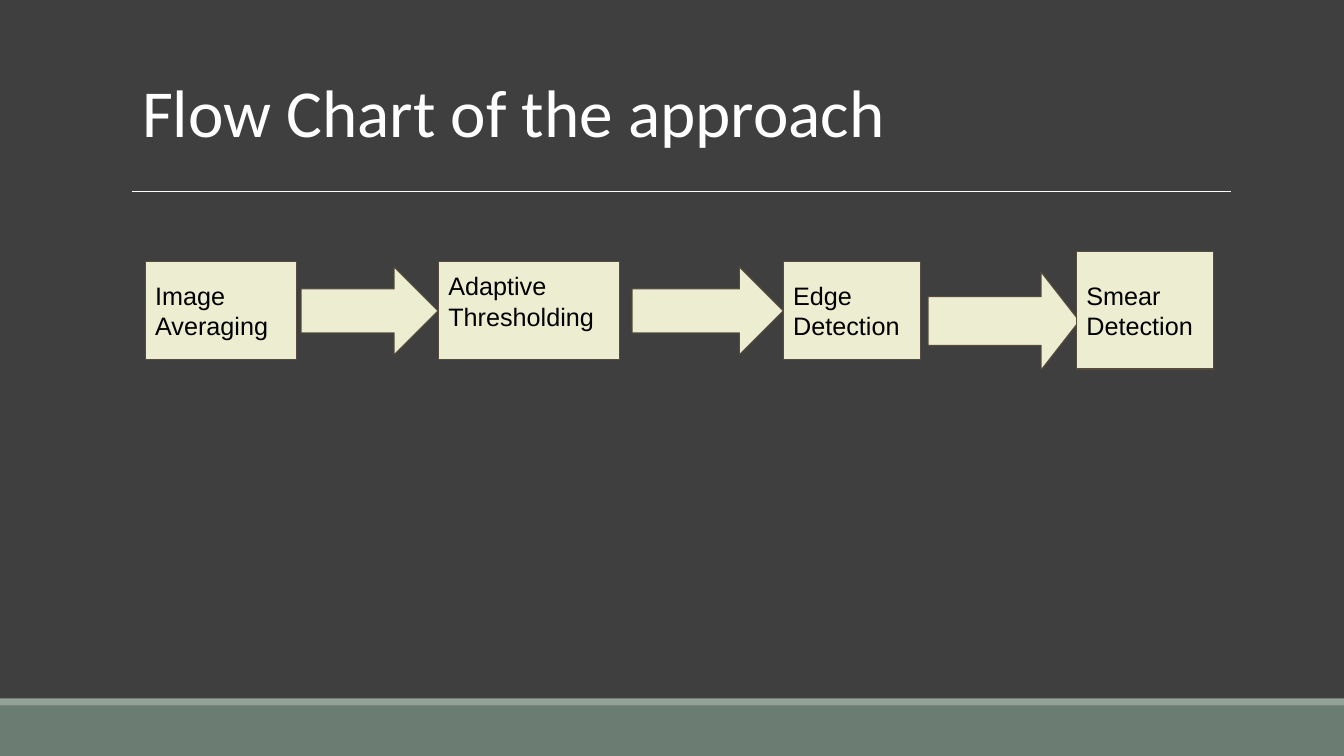
import pptx
import pptx.util
import pptx.dml.color
import pptx.enum.shapes
import pptx.enum.text
import pptx.oxml.ns
import lxml.etree

Cm = pptx.util.Cm
Pt = pptx.util.Pt
SHAPE = pptx.enum.shapes.MSO_SHAPE
ANCHOR = pptx.enum.text.MSO_ANCHOR
COLORS = {
    "background": "3F3F3F",
    "band": "6B7C72",
    "stripe": "93A299",
    "white": "FEFEFE",
    "cream": "ECEDD1",
    "outline": "564B3C",
    "black": "000000",
}


def rgb(name):
    return pptx.dml.color.RGBColor.from_string(COLORS[name])


def write(tf, text, size=18, font="Arial", color="black", anchor=ANCHOR.MIDDLE,
          spacing=1.0, inset_x=0.25, inset_y=0.25):
    tf.word_wrap = True
    tf.auto_size = pptx.enum.text.MSO_AUTO_SIZE.NONE
    tf.vertical_anchor = anchor
    tf.margin_left = tf.margin_right = Cm(inset_x)
    tf.margin_top = tf.margin_bottom = Cm(inset_y)
    p = tf.paragraphs[0]
    p.alignment = pptx.enum.text.PP_ALIGN.LEFT
    p.line_spacing = spacing
    r = p.add_run()
    r.text = text
    r.font.size = Pt(size)
    r.font.name = font
    r.font.color.rgb = rgb(color)


prs = pptx.Presentation()
prs.slide_width = Cm(33.87)
prs.slide_height = Cm(19.05)
s = prs.slides.add_slide(prs.slide_layouts[5])
s.background.fill.solid()
s.background.fill.fore_color.rgb = rgb("background")

for color, top, height in [("band", 17.78, 1.27), ("stripe", 17.6, 0.18)]:
    sp = s.shapes.add_shape(SHAPE.RECTANGLE, 0, Cm(top), prs.slide_width, Cm(height))
    sp.shadow.inherit = False
    sp.fill.solid()
    sp.fill.fore_color.rgb = rgb(color)
    sp.line.fill.background()

rule = s.shapes.add_connector(pptx.enum.shapes.MSO_CONNECTOR.STRAIGHT,
                              Cm(3.33), Cm(4.83), Cm(31.01), Cm(4.83))
rule.line.color.rgb = rgb("white")
rule.line.width = Pt(0.75)
lxml.etree.SubElement(rule._element.spPr, pptx.oxml.ns.qn("a:effectLst"))

title = s.shapes.title
title.left, title.top, title.width, title.height = Cm(3.33), Cm(1.73), Cm(27.94), Cm(2.21)
write(title.text_frame, "Flow Chart of the approach", size=48, font="Calibri",
      color="white", anchor=ANCHOR.BOTTOM, spacing=0.85, inset_y=0.13)

steps = [
    ("Image Averaging", 3.66, 6.6, 3.81, 2.46, {}),
    (None, 7.59, 6.73, 3.45, 2.21, 0.5),
    ("Adaptive Thresholding", 11.05, 6.6, 4.57, 2.46,
     {"anchor": ANCHOR.TOP, "inset_y": 0.22}),
    (None, 15.93, 6.73, 3.81, 2.21, 0.5),
    ("Edge Detection", 19.74, 6.6, 3.45, 2.46, {}),
    (None, 23.39, 6.86, 3.81, 2.46, 0.39),
    ("Smear Detection", 27.13, 6.35, 3.45, 2.95, {}),
]
for text, left, top, width, height, detail in steps:
    kind = SHAPE.RECTANGLE if text else SHAPE.RIGHT_ARROW
    sp = s.shapes.add_shape(kind, Cm(left), Cm(top), Cm(width), Cm(height))
    sp.shadow.inherit = False
    sp.fill.solid()
    sp.fill.fore_color.rgb = rgb("cream")
    sp.line.color.rgb = rgb("outline")
    sp.line.width = Pt(0.75)
    if text:
        write(sp.text_frame, text, **detail)
    else:
        sp.adjustments[1] = detail

prs.save("out.pptx")
